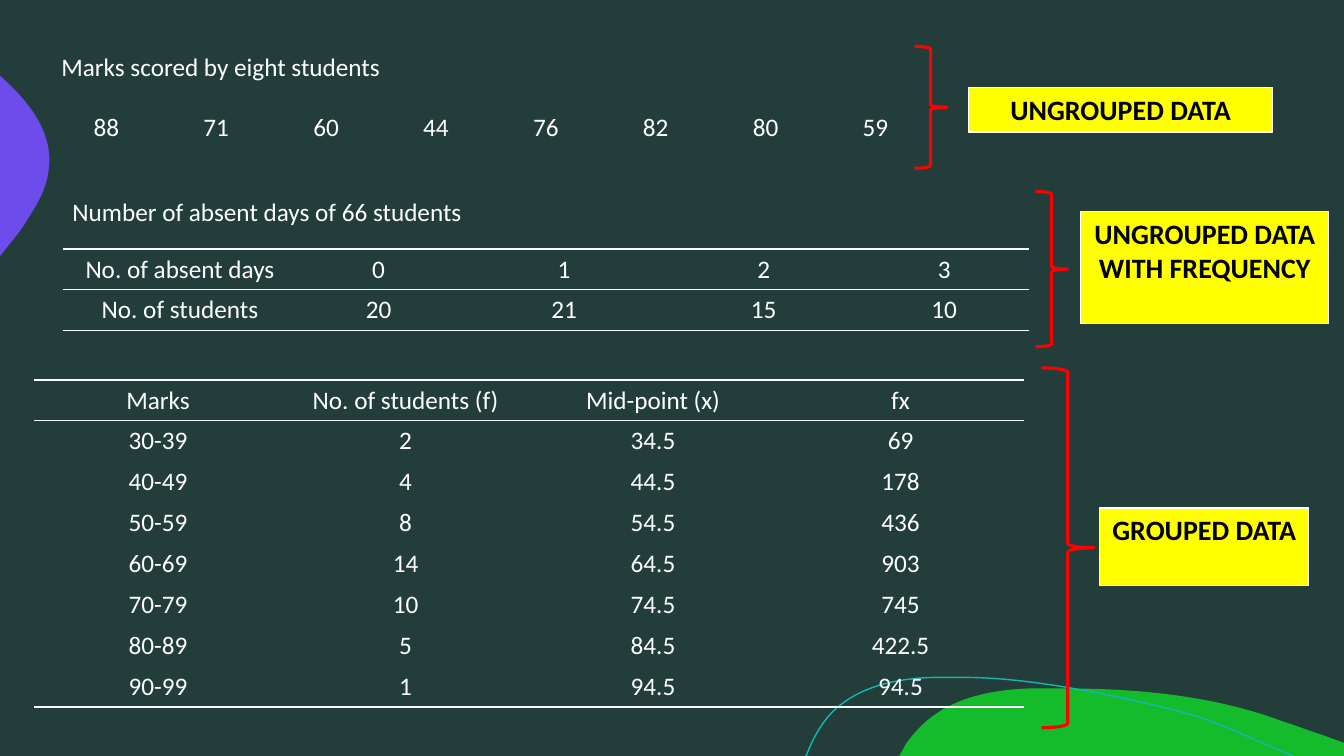
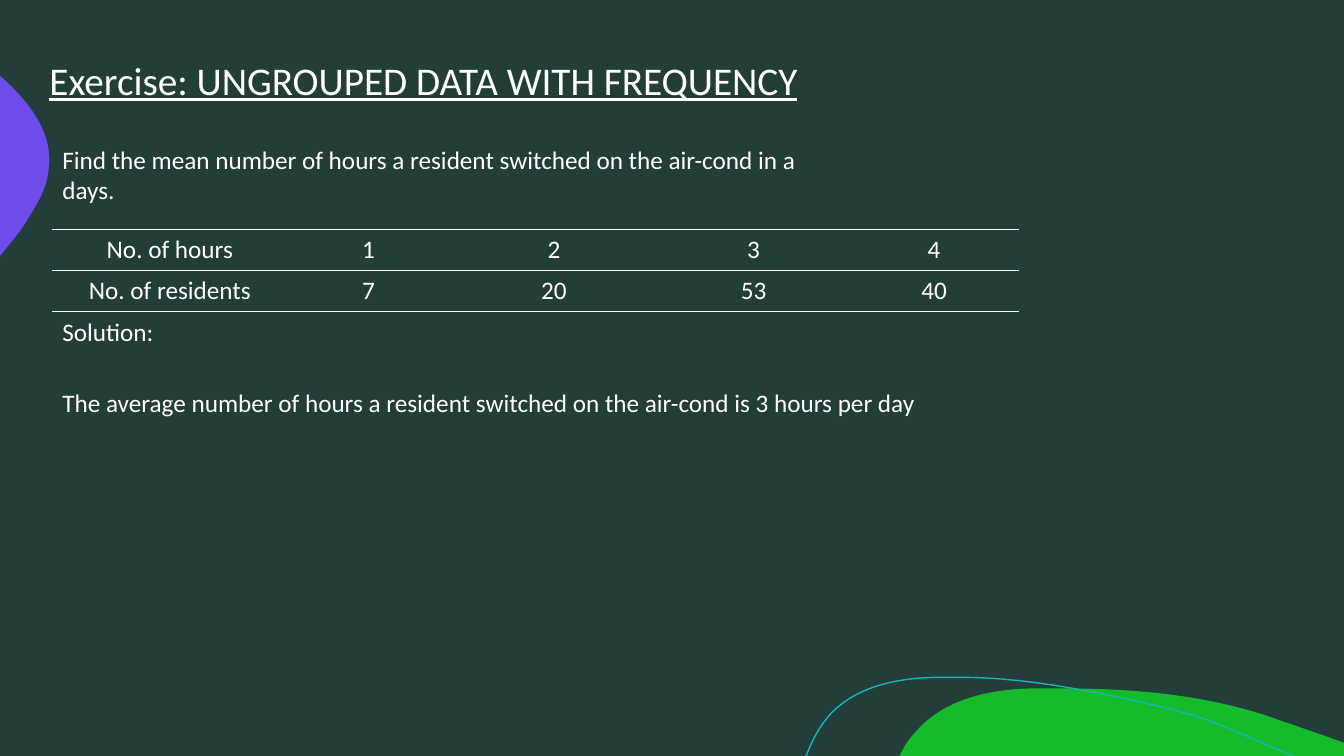
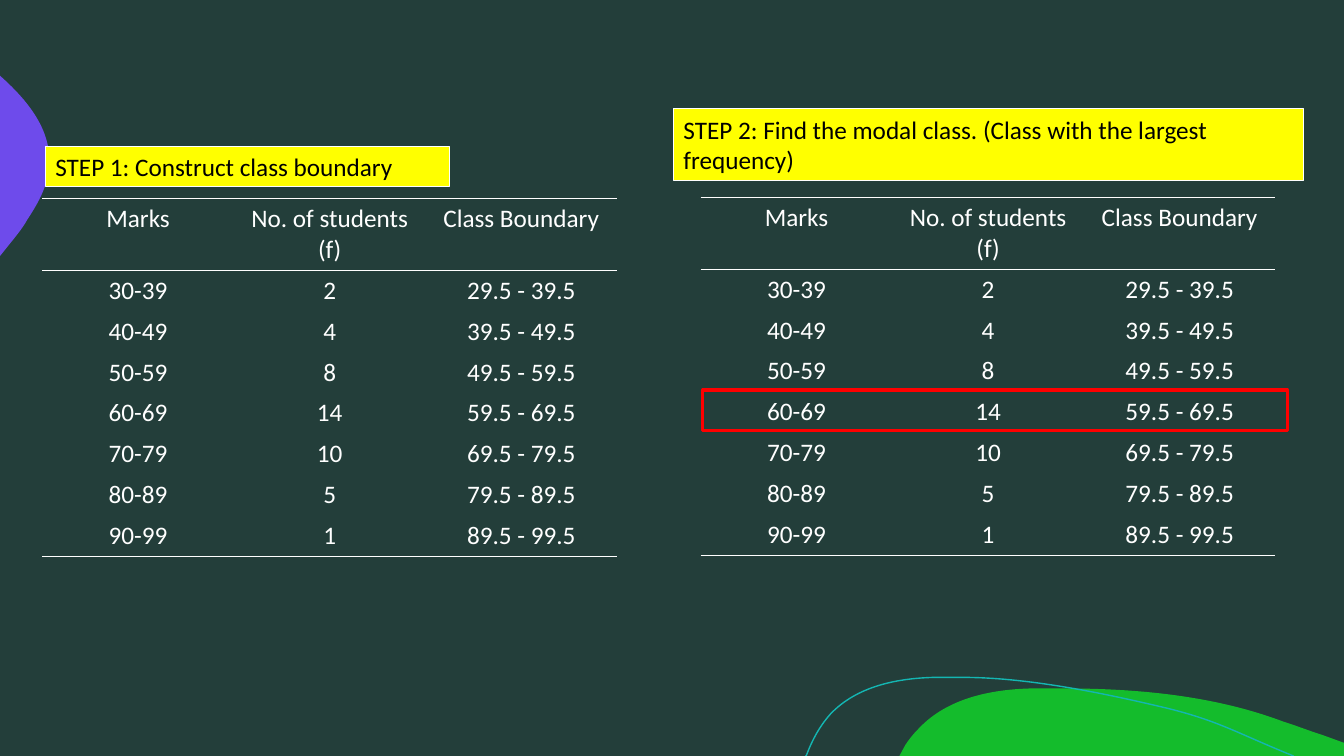
from pptx import Presentation
from pptx.dml.color import RGBColor
from pptx.enum.shapes import MSO_SHAPE
from pptx.enum.text import MSO_ANCHOR, MSO_AUTO_SIZE, PP_ALIGN
from pptx.oxml.ns import qn
from pptx.util import Emu, Pt
from lxml.etree import SubElement

PX = 9144
FONT = "Calibri"
COLORS = {
    "board": "233E3A",
    "green": "14BC2C",
    "purple": "6E4BEB",
    "teal": "14B6B2",
    "white": "FFFFFF",
    "black": "000000",
    "yellow": "FFFF00",
    "red": "FF0000",
}
PLAIN_TABLE = "{2D5ABB26-0587-4C30-8999-92F81FD0307C}"

HILL = [(1054, 683), (1128, 683, 1204, 690, 1273, 716), (1286, 720, 1298, 725, 1311, 729),
        (1333, 737), (1333, 750), (892, 750), (898, 739), (902, 733, 906, 728, 911, 723),
        (939, 693, 982, 684, 1023, 683), (1033, 683, 1043, 683, 1054, 683)]
BUBBLE = [(0, 75), (1, 76), (30, 102, 54, 133, 48, 170), (46, 187, 37, 203, 27, 218),
          (24, 224, 17, 233, 8, 244), (0, 254)]
WAVE = [(799, 750), (800, 749), (806, 733, 814, 719, 824, 708), (850, 681, 889, 673, 926, 672),
        (955, 672), (1022, 672, 1100, 689, 1155, 702), (1209, 715, 1226, 727, 1283, 750)]

FREQUENCIES = {30: 2, 40: 4, 50: 8, 60: 14, 70: 10, 80: 5, 90: 1}
FREQUENCY_COLUMNS = [233, 161, 207, 189, 169]


def px(*lengths):
    return [Emu(round(length * PX)) for length in lengths]


def color(name):
    return RGBColor.from_string(COLORS[name])


def paint(shape, fill=None, line=None, width=1):
    shape.shadow.inherit = False
    if fill:
        shape.fill.solid()
        shape.fill.fore_color.rgb = color(fill)
    else:
        shape.fill.background()
    if line:
        shape.line.color.rgb = color(line)
        shape.line.width = Pt(width)
    else:
        shape.line.fill.background()


def write(frame, text, size=18, ink="white", bold=False, underline=False, align=PP_ALIGN.LEFT):
    frame.text = text
    paragraph = frame.paragraphs[0]
    paragraph.alignment = align
    font = paragraph.runs[0].font
    font.name, font.size, font.bold, font.underline = FONT, Pt(size), bold, underline
    font.color.rgb = color(ink)


def settle(frame):
    frame.word_wrap = True
    frame.auto_size = MSO_AUTO_SIZE.NONE
    frame.vertical_anchor = MSO_ANCHOR.TOP


def bend(shape, outline):
    segments = list(shape.element.iter(qn("a:lnTo")))
    for segment, step in zip(segments, outline[1:]):
        if len(step) == 2:
            continue
        curve = segment.makeelement(qn("a:cubicBezTo"))
        for x, y in zip(px(*step[::2]), px(*step[1::2])):
            SubElement(curve, qn("a:pt"), x=str(x - shape.left), y=str(y - shape.top))
        segment.getparent().replace(segment, curve)


def add_decor(master, slide):
    for outline, fill, line in ((HILL, "green", None), (BUBBLE, "purple", None), (WAVE, None, "teal")):
        corners = [px(*step[-2:]) for step in outline]
        builder = slide.shapes.build_freeform(*corners[0], scale=1.0)
        builder.add_line_segments(corners[1:], close=fill is not None)
        decor = builder.convert_to_shape()
        bend(decor, outline)
        paint(decor, fill, line)
        master.shapes.element.append(decor.element)


def add_text(slide, box, text):
    frame = slide.shapes.add_textbox(*px(*box)).text_frame
    settle(frame)
    write(frame, text)


def add_label(slide, box, text, **style):
    label = slide.shapes.add_shape(MSO_SHAPE.RECTANGLE, *px(*box))
    paint(label, "yellow", "white", 0.75)
    settle(label.text_frame)
    write(label.text_frame, text, ink="black", **style)


def add_marker(slide, kind, box):
    paint(slide.shapes.add_shape(kind, *px(*box)), line="red", width=2.25)


def add_border(cell, side, visible):
    border = SubElement(cell._tc.get_or_add_tcPr(), qn(f"a:{side}"), w=str(Pt(1)))
    if visible:
        fill = SubElement(border, qn("a:solidFill"))
        SubElement(fill, qn("a:srgbClr"), val=COLORS["white"])
    else:
        SubElement(border, qn("a:noFill"))


def add_grid(slide, box, rows, rules=(), columns=None, header=None):
    grid = slide.shapes.add_table(len(rows), len(rows[0]), *px(*box)).table
    grid.first_row = grid.horz_banding = False
    grid._tbl.tblPr.find(qn("a:tableStyleId")).text = PLAIN_TABLE
    for column, width in zip(grid.columns, columns or ()):
        column.width = px(width)[0]
    if header:
        heights = [header] + [(box[3] - header) / (len(rows) - 1)] * (len(rows) - 1)
        for row, height in zip(grid.rows, px(*heights)):
            row.height = height
    for r, values in enumerate(rows):
        for c, value in enumerate(values):
            cell = grid.cell(r, c)
            write(cell.text_frame, str(value), align=PP_ALIGN.CENTER)
            for side, position in (("lnL", None), ("lnR", None), ("lnT", r), ("lnB", r + 1)):
                add_border(cell, side, position in rules)
            cell.fill.background()


def build_data_types(slide):
    add_grid(slide, (51, 107, 872, 41), [[88, 71, 60, 44, 76, 82, 80, 59]])
    add_grid(slide, (62, 247, 959, 81),
             [["No. of absent days", 0, 1, 2, 3], ["No. of students", 20, 21, 15, 10]],
             (0, 1, 2), FREQUENCY_COLUMNS)
    add_text(slide, (51, 46, 801, 40), "Marks scored by eight students")
    add_text(slide, (62, 190, 801, 40), "Number of absent days of 66 students")
    marks = [["Marks", "No. of students (f)", "Mid-point (x)", "fx"]]
    for low, count in FREQUENCIES.items():
        middle = low + 4.5
        marks.append([f"{low}-{low + 9}", count, middle, f"{count * middle:g}"])
    add_grid(slide, (34, 377, 982, 324), marks, (0, 1, len(marks)))
    for brace, label, text in (
        ((907, 46, 32, 121), (961, 87, 301, 44), "UNGROUPED DATA"),
        ((1027, 190, 32, 154), (1072, 210, 246, 111), "UNGROUPED DATA WITH FREQUENCY"),
        ((1033, 365, 52, 357), (1091, 504, 207, 77), "GROUPED DATA"),
    ):
        add_marker(slide, MSO_SHAPE.RIGHT_BRACE, brace)
        add_label(slide, label, text, size=20, bold=True, align=PP_ALIGN.CENTER)


def build_exercise(slide):
    title = slide.shapes.title
    title.left, title.top, title.width, title.height = px(39, 51, 1254, 88)
    settle(title.text_frame)
    write(title.text_frame, "Exercise: UNGROUPED DATA WITH FREQUENCY", size=28, underline=True)
    add_text(slide, (52, 138, 801, 71),
             "Find the mean number of hours a resident switched on the air-cond in a days.")
    add_grid(slide, (52, 228, 959, 81),
             [["No. of hours", 1, 2, 3, 4], ["No. of residents", 7, 20, 53, 40]],
             (0, 1, 2), FREQUENCY_COLUMNS)
    add_text(slide, (52, 309, 297, 40), "Solution:")
    add_text(slide, (52, 379, 989, 40),
             "The average number of hours a resident switched on the air-cond is 3 hours per day")


def build_modal_class(slide):
    boundaries = [["Marks", "No. of students (f)", "Class Boundary"]]
    for low, count in FREQUENCIES.items():
        boundaries.append([f"{low}-{low + 9}", count, f"{low - 0.5} - {low + 9.5}"])
    for left, top in ((42, 197), (695, 196)):
        add_grid(slide, (left, top, 570, 353), boundaries, (0, 1, len(boundaries)), header=69)
    add_label(slide, (45, 145, 401, 40), "STEP 1: Construct class boundary")
    add_label(slide, (668, 108, 625, 71),
              "STEP 2: Find the modal class. (Class with the largest frequency)")
    add_marker(slide, MSO_SHAPE.RECTANGLE, (697, 387, 580, 40))


def main():
    deck = Presentation()
    deck.slide_width, deck.slide_height = px(1333, 750)
    master = deck.slide_master
    master.background.fill.solid()
    master.background.fill.fore_color.rgb = color("board")
    title_only, blank = deck.slide_layouts[5], deck.slide_layouts[6]
    data_types = deck.slides.add_slide(blank)
    add_decor(master, data_types)
    build_data_types(data_types)
    build_exercise(deck.slides.add_slide(title_only))
    build_modal_class(deck.slides.add_slide(blank))
    deck.save("out.pptx")


if __name__ == "__main__":
    main()
